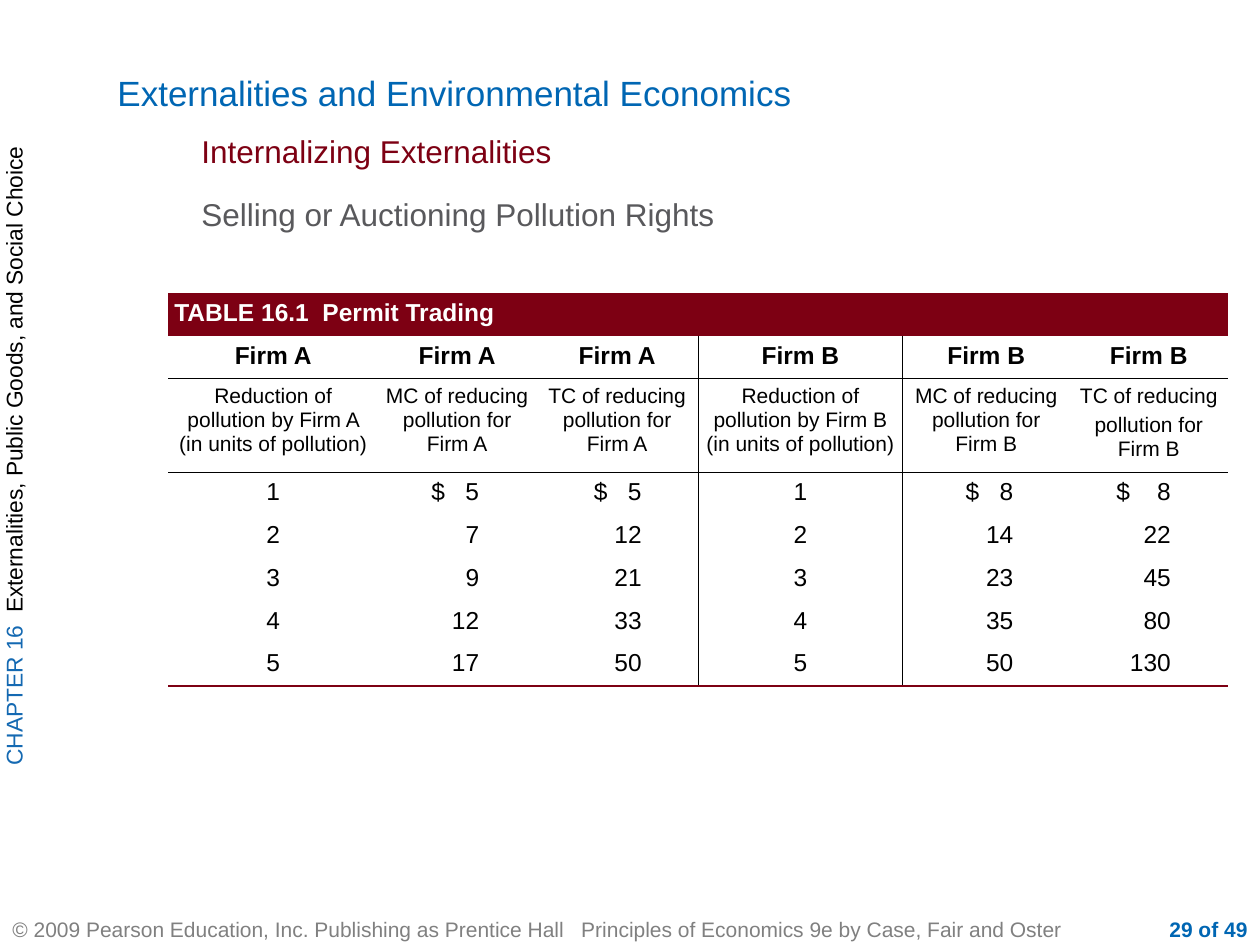
from collections import namedtuple
from lxml.etree import SubElement as Sub
from pptx import Presentation as Deck
from pptx.dml.color import RGBColor as Rgb
from pptx.enum.text import MSO_ANCHOR as Anc, PP_ALIGN as Al
from pptx.oxml.ns import qn
from pptx.util import Inches as In, Pt

Theme = namedtuple("Theme", "font blue sky wine slate gray ink white "
                            "head sub body note side thin thick")
T = Theme("Arial", "0066B3", "1469B2", "7D0013", "59595C", "808080", "000000", "FFFFFF",
          20, 18, 14, 12, 13, 0.45, 1.08)
WIDE, HIGH = 10, 7.5
COLS = [1.67, 1.25, 1.29, 1.62, 1.33, 1.25]
ROWS = [0.34, 0.34, 0.72] + [0.34] * 5
PAD = 0.05
GUT = 0.45
MID = 3
COSTS = [
    ("1", "$   5", "$   5", "1", "$   8", "$    8"),
    ("2", "7", "12", "2", "14", "22"),
    ("3", "9", "21", "3", "23", "45"),
    ("4", "12", "33", "4", "35", "80"),
    ("5", "17", "50", "5", "50", "130"),
]


def add_run(para, text, size, color, bold=False):
    run = para.add_run()
    run.text = text
    font = run.font
    font.name, font.size, font.bold = T.font, Pt(size), bold
    font.color.rgb = Rgb.from_string(color)


def add_text(slide, area, runs, align=Al.LEFT, anchor=Anc.TOP, pads=(0.1, 0.05, 0.1, 0.05)):
    left, top, wide, high = area
    box = slide.shapes.add_textbox(In(left * WIDE), In(top * HIGH),
                                   In(wide * WIDE), In(high * HIGH))
    frame = box.text_frame
    frame.word_wrap = True
    frame.vertical_anchor = anchor
    (frame.margin_left, frame.margin_top,
     frame.margin_right, frame.margin_bottom) = map(In, pads)
    para = frame.paragraphs[0]
    para.alignment = align
    for run in runs:
        add_run(para, *run)
    return frame


def add_side(slide):
    runs = [("CHAPTER 16  ", T.side, T.sky),
            ("Externalities, Public Goods, and Social Choice", T.side, T.ink)]
    frame = add_text(slide, (0, 0.01, 0.04, 0.945), runs, Al.CENTER, pads=(0, 0, 0, 0))
    frame._txBody.bodyPr.set("vert", "vert270")


def set_edge(cell, side, color, width):
    props = cell._tc.get_or_add_tcPr()
    line = Sub(props, qn(f"a:ln{side}"), w=str(Pt(width)))
    Sub(Sub(line, qn("a:solidFill")), qn("a:srgbClr"), val=color)
    props.insert(sum(kid.tag.startswith(qn("a:ln")) for kid in props) - 1, line)


def fill_cell(cell, lines, size, align=Al.CENTER, bold=False, color=T.ink, gut=PAD):
    cell.fill.background()
    cell.margin_left = cell.margin_top = cell.margin_bottom = In(PAD)
    cell.margin_right = In(gut)
    frame = cell.text_frame
    for num, text in enumerate(lines):
        para = frame.add_paragraph() if num else frame.paragraphs[0]
        para.alignment = align
        if num:
            para.space_before = Pt(3)
        add_run(para, text, size, color, bold)


def rule_cell(cell, row, col):
    if col == MID:
        set_edge(cell, "L", T.ink, T.thin)
    if col == MID - 1:
        set_edge(cell, "R", T.ink, T.thin)
    if row == 2:
        set_edge(cell, "T", T.ink, T.thin)
    if row == 1:
        set_edge(cell, "B", T.ink, T.thin)
    if row == len(ROWS) - 1:
        set_edge(cell, "B", T.wine, T.thick)


def name_cols(firm):
    return [[f"Reduction of pollution by {firm} (in units of pollution)"],
            [f"MC of reducing pollution for {firm}"],
            [f"TC of reducing pollution for {firm}"]]


def add_grid(slide):
    frame = slide.shapes.add_table(len(ROWS), len(COLS), In(WIDE * 2 / 15), In(HIGH * 0.31),
                                   In(sum(COLS)), In(sum(ROWS)))
    grid = frame.table
    grid._tbl.tblPr[0].text = "{2D5ABB26-0587-4C30-8999-92F81FD0307C}"
    grid.first_row = grid.horz_banding = False
    for col, wide in zip(grid.columns, COLS):
        col.width = In(wide)
    for row, high in zip(grid.rows, ROWS):
        row.height = In(high)

    title = grid.cell(0, 0)
    title.merge(grid.cell(0, len(COLS) - 1))
    fill_cell(title, ["TABLE 16.1  Permit Trading"], T.body, Al.LEFT, True, T.white)
    title.fill.solid()
    title.fill.fore_color.rgb = Rgb.from_string(T.wine)

    labels = name_cols("Firm A") + name_cols("Firm B")
    labels[-1] = ["TC of reducing", "pollution for Firm B"]
    for col, label in enumerate(labels):
        firm = "Firm A" if col < MID else "Firm B"
        fill_cell(grid.cell(1, col), [firm], T.body, bold=True)
        fill_cell(grid.cell(2, col), label, T.note)
        for row, costs in enumerate(COSTS, 3):
            look = {"align": Al.RIGHT, "gut": GUT} if col % MID else {}
            fill_cell(grid.cell(row, col), [costs[col]], T.body, **look)
        for row in range(1, len(ROWS)):
            rule_cell(grid.cell(row, col), row, col)


def main():
    deck = Deck()
    deck.slide_width, deck.slide_height = In(WIDE), In(HIGH)
    slide = deck.slides.add_slide(deck.slide_layouts[6])
    add_side(slide)
    foot = ("© 2009 Pearson Education, Inc. Publishing as Prentice Hall   "
            "Principles of Economics 9e by Case, Fair and Oster")
    add_text(slide, (0, 29 / 30, 11 / 12, 1 / 30), [(foot, T.note, T.gray)], anchor=Anc.MIDDLE)
    add_text(slide, (0.9, 29 / 30, 0.1, 1 / 30), [("29 of 49", T.note, T.blue, True)],
             Al.RIGHT, Anc.MIDDLE)
    add_text(slide, (1 / 12, 0, 11 / 12, 2 / 15),
             [("Externalities and Environmental Economics", T.head, T.blue)],
             anchor=Anc.BOTTOM, pads=(0.1, 0.05, 0.1, 0.1))
    add_text(slide, (0.15, 2 / 15, 0.81, 0.06),
             [("Internalizing Externalities", T.sub, T.wine)])
    add_text(slide, (0.15, 0.2, 0.7, 0.04),
             [("Selling or Auctioning Pollution Rights", T.sub, T.slate)])
    add_grid(slide)
    deck.save("out.pptx")


if __name__ == "__main__":
    main()
